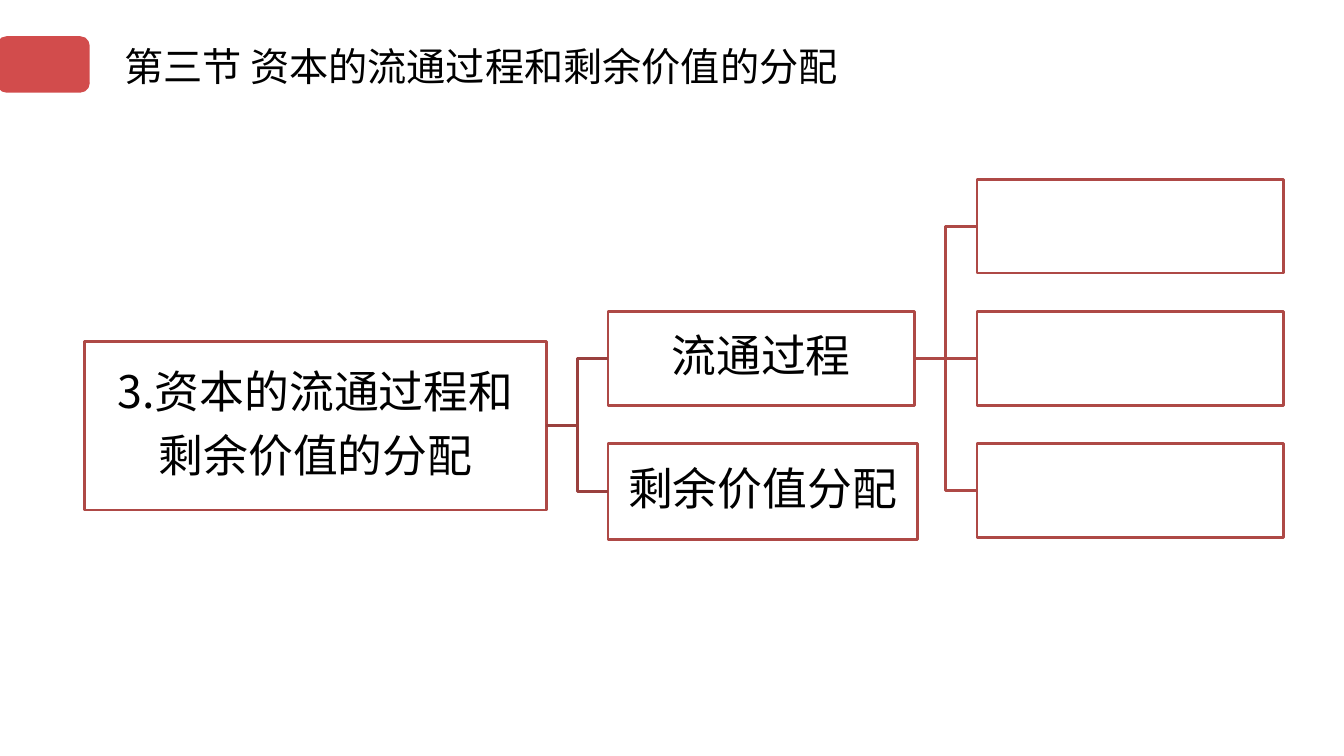
from pptx import Presentation
from pptx import util as u
from pptx.dml.color import RGBColor
from pptx.enum import shapes, text
from pptx.oxml.ns import qn
from lxml import etree
from dataclasses import dataclass

PX = u.Inches(0.01)  # 100 px to the inch
RIGHT, LEFT = 3, 1   # connection sites of a rectangle


@dataclass(frozen=True)
class Theme:
    font: str = "Noto Sans CJK SC"
    ink: RGBColor = RGBColor(0x00, 0x00, 0x00)
    paper: RGBColor = RGBColor(0xFF, 0xFF, 0xFF)
    accent: RGBColor = RGBColor(0xC0, 0x00, 0x00)
    border: RGBColor = RGBColor(0xAE, 0x49, 0x46)
    trunk: RGBColor = RGBColor(0x9A, 0x40, 0x3E)
    title_size: int = 28
    box_size: int = 32
    line_width: int = 2


THEME = Theme()


def set_all(target, values):
    for name, value in values.items():
        setattr(target, name, value)


def place(shape, left, top, width, height):
    set_all(shape, {"left": left * PX, "top": top * PX,
                    "width": width * PX, "height": height * PX})


def write(shape, lines, size, frame_format, paragraph_format):
    """Fill a shape's text frame, one paragraph per line."""
    frame = shape.text_frame
    frame.text = "\n".join(lines)
    set_all(frame, {"word_wrap": True, "auto_size": text.MSO_AUTO_SIZE.NONE,
                    **frame_format})
    for paragraph in frame.paragraphs:
        set_all(paragraph, paragraph_format)
        for run in paragraph.runs:
            set_all(run.font, {"size": u.Pt(size), "name": THEME.font})
            run.font.color.rgb = THEME.ink
            east_asian = etree.SubElement(run.font._element, qn("a:ea"))
            east_asian.set("typeface", THEME.font)


def add_header(slide, left, top, title):
    """Red tab at the slide edge with the section title beside it."""
    tab = slide.shapes.add_shape(shapes.MSO_SHAPE.ROUNDED_RECTANGLE, 0, 0, 0, 0)
    place(tab, left, top, 92, 56)
    tab.shadow.inherit = False
    tab.fill.solid()
    tab.fill.fore_color.rgb = THEME.accent
    color = tab.fill._xPr.find(qn("a:solidFill"))[0]
    etree.SubElement(color, qn("a:alpha")).set("val", "70000")
    tab.line.fill.background()

    place(slide.shapes.title, left + 116, top + 1, 740, 71)
    write(slide.shapes.title, [title], THEME.title_size,
          {"vertical_anchor": text.MSO_ANCHOR.TOP},
          {"alignment": text.PP_ALIGN.LEFT})


def add_box(slide, left, top, width, height, lines=()):
    box = slide.shapes.add_shape(shapes.MSO_SHAPE.RECTANGLE, 0, 0, 0, 0)
    place(box, left, top, width, height)
    box.shadow.inherit = False
    box.fill.solid()
    box.fill.fore_color.rgb = THEME.paper
    box.line.color.rgb = THEME.border
    box.line.width = u.Pt(THEME.line_width)
    if lines:
        margins = {f"margin_{side}": 2 * PX
                   for side in ("left", "top", "right", "bottom")}
        write(box, lines, THEME.box_size,
              {"vertical_anchor": text.MSO_ANCHOR.MIDDLE, **margins},
              {"alignment": text.PP_ALIGN.CENTER, "line_spacing": 0.9,
               "space_after": u.Pt(11)})
    return box


def join(slide, parent, child, color):
    """Connect the right side of parent to the left side of child."""
    level = parent.top + parent.height // 2 == child.top + child.height // 2
    kind = shapes.MSO_CONNECTOR.STRAIGHT if level else shapes.MSO_CONNECTOR.ELBOW
    connector = slide.shapes.add_connector(kind, 0, 0, 0, 0)
    connector.begin_connect(parent, RIGHT)
    connector.end_connect(child, LEFT)
    connector.line.color.rgb = color
    connector.line.width = u.Pt(THEME.line_width)
    etree.SubElement(connector._element.spPr, qn("a:effectLst"))


def add_tree(slide, left, top):
    """Topic on the left, two branches, three empty answer boxes."""
    width, height, pitch = 304, 93, 131
    branch_left, leaf_left = left + 519, left + 885
    root = add_box(slide, left, top + 161, 458, 167,
                   ["3.资本的流通过程和", "剩余价值的分配"])
    circulation = add_box(slide, branch_left, top + pitch, width, height,
                          ["流通过程"])
    distribution = add_box(slide, branch_left, top + 2 * pitch,
                           width + 3, height + 2, ["剩余价值分配"])
    leaves = [add_box(slide, leaf_left, top + row * pitch, width, height)
              for row in range(3)]

    for branch in (circulation, distribution):
        join(slide, root, branch, THEME.trunk)
    for leaf in leaves:
        join(slide, circulation, leaf, THEME.border)


def main():
    presentation = Presentation()
    set_all(presentation, {"slide_width": 1333 * PX, "slide_height": 750 * PX})
    slide = presentation.slides.add_slide(presentation.slide_layouts[5])
    add_header(slide, -3, 36, "第三节 资本的流通过程和剩余价值的分配")
    add_tree(slide, 84, 178)
    presentation.save("out.pptx")


if __name__ == "__main__":
    main()
